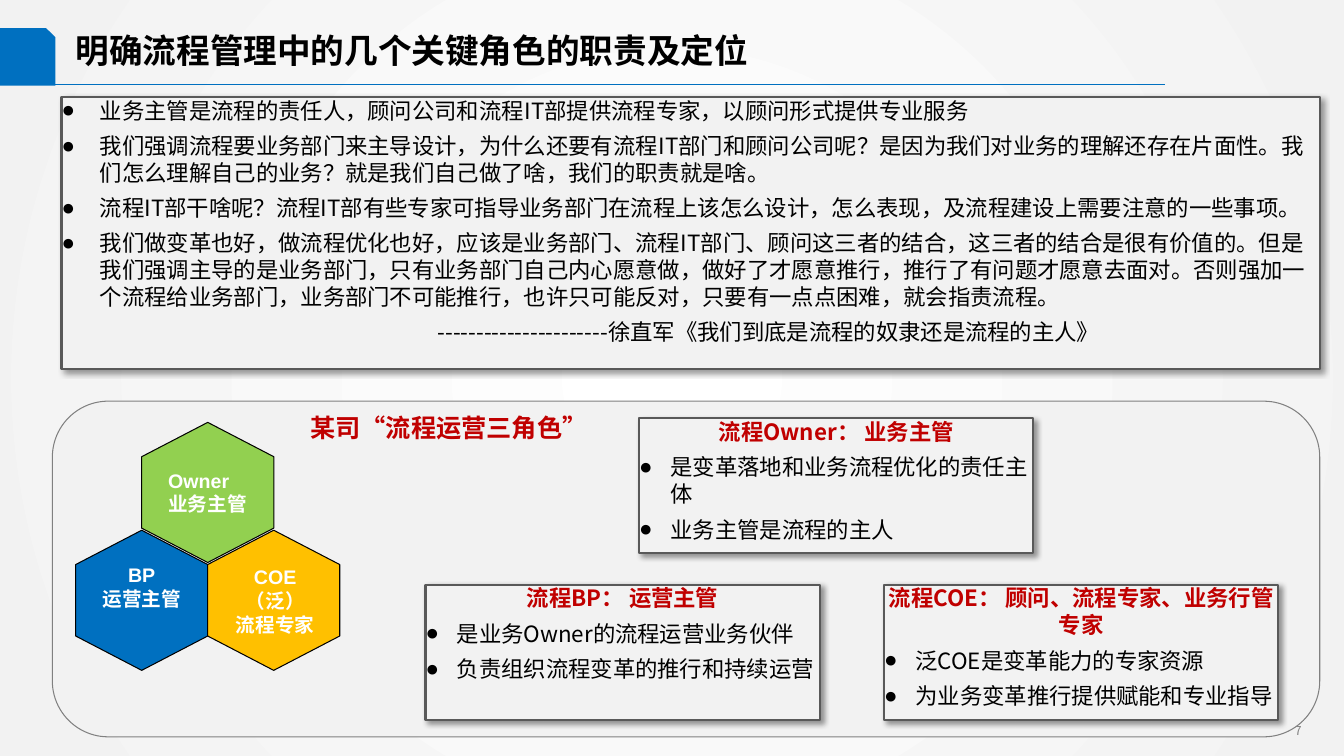
from lxml.etree import SubElement
from pptx import Presentation
from pptx.dml.color import RGBColor as RGB
from pptx.enum.shapes import MSO_CONNECTOR as LINE, MSO_SHAPE as SHAPE
from pptx.enum.text import MSO_ANCHOR as ANCHOR, PP_ALIGN as ALIGN
from pptx.oxml import parse_xml
from pptx.oxml.ns import nsdecls, qn
from pptx.util import Inches, Pt

COLORS = {
    "blue": "0070C0", "green": "92D050", "amber": "FFC000", "red": "C00000",
    "panel": "F2F2F2", "gray": "808080", "frame": "595959",
    "black": "000000", "white": "FFFFFF",
}
SANS, ARIAL = "Noto Sans CJK SC", "Arial"

prs = Presentation()
prs.slide_width, prs.slide_height = Inches(13.33), Inches(7.5)
# All lengths below are percentages of the slide's width and height
COL, ROW = prs.slide_width / 100, prs.slide_height / 100
slide = prs.slides.add_slide(prs.slide_layouts[6])


def add_part(preset, left, top, width, height, fill=None, line=None, weight=0.75):
    """Add a preset shape, or a plain text box when preset is None."""
    box = [int(left * COL), int(top * ROW), int(width * COL), int(height * ROW)]
    if preset is None:
        return slide.shapes.add_textbox(*box)
    part = slide.shapes.add_shape(preset, *box)
    part.shadow.inherit = False
    part.fill.solid()
    part.fill.fore_color.rgb = RGB.from_string(COLORS[fill])
    if line:
        part.line.color.rgb = RGB.from_string(COLORS[line])
        part.line.width = Pt(weight)
    else:
        part.line.fill.background()
    return part


def style(paragraph, size, color, bold=False, font=SANS, align=ALIGN.LEFT):
    """Format a paragraph and its runs, for Latin and Chinese letters alike."""
    paragraph.alignment = align
    for run in paragraph.runs:
        run.font.size, run.font.bold, run.font.name = Pt(size), bold, font
        run.font.color.rgb = RGB.from_string(COLORS[color])
        SubElement(run.font._element, qn("a:ea"), typeface=SANS)


# Background: white centre fading to light gray
background = slide.background.fill
background.gradient()
for stop, shade in zip(background.gradient_stops, ("white", "panel")):
    stop.color.rgb = RGB.from_string(COLORS[shade])
gradient = slide.background._cSld.find(".//" + qn("a:gradFill"))
gradient.replace(gradient.find(qn("a:lin")), parse_xml(
    f'<a:path {nsdecls("a")} path="circle">'
    '<a:fillToRect l="50000" t="50000" r="50000" b="50000"/></a:path>'))

# Page number, corner tab and title rule
page_number = add_part(None, 89.95, 95.07, 7.65, 4.8)
page_number.text_frame.text = "7"
style(page_number.text_frame.paragraphs[0], 8.7, "gray", align=ALIGN.RIGHT)
add_part(SHAPE.SNIP_1_RECTANGLE, 0, 3.73, 4.13, 7.6, "blue")
rule = slide.shapes.add_connector(
    LINE.STRAIGHT, int(3.98 * COL), int(11.2 * ROW), int(86.65 * COL), int(11.2 * ROW))
rule.line.color.rgb = RGB.from_string(COLORS["blue"])
rule.line.width = Pt(0.75)
SubElement(rule._element.spPr, qn("a:effectLst"))

# Rounded panel behind the roles
add_part(SHAPE.ROUNDED_RECTANGLE, 3.9, 53.07, 94.3, 44.4, "panel", "gray")

# Title
title = add_part(None, 5.63, 1.2, 82.07, 10.8).text_frame
title.margin_left = title.margin_right = title.margin_top = title.margin_bottom = 0
title.vertical_anchor, title.word_wrap = ANCHOR.MIDDLE, True
title.text = "明确流程管理中的几个关键角色的职责及定位"
style(title.paragraphs[0], 24, "black", bold=True)

# Honeycomb of the three roles: colour, hexagon position, label box, label
MIDDLE, HALF_STEP, UPPER, LOWER = 10.24, 4.91, 56.4, 70.67
roles = [
    ("green", MIDDLE, UPPER, (11.78, 61.33, 7.43), ALIGN.LEFT, "Owner\n业务主管"),
    ("blue", MIDDLE - HALF_STEP, LOWER, (6.83, 73.87, 7.43), ALIGN.CENTER, "BP\n运营主管"),
    ("amber", MIDDLE + HALF_STEP, LOWER, (15.98, 74.13, 9), ALIGN.CENTER, "COE（泛）\n流程专家"),
]
for color, left, top, *_ in roles:
    hexagon = add_part(SHAPE.HEXAGON, left, top, 10.43, 17.47, color, "black")
    hexagon.rotation = 90
    hexagon.adjustments[0], hexagon.adjustments[1] = 0.26, 1.155
for *_, label_box, align, label in roles:
    role = add_part(None, *label_box, 7.6).text_frame
    role.word_wrap = True
    role.text = label
    for paragraph in role.paragraphs:
        style(paragraph, 14, "white", True, ARIAL, align)

# Framed notes: box, bullet indent in inches, heading, points, source
CARD = (29.33, 17.87)
notes = [
    ((4.58, 12.8, 93.62, 36), 0.38, None, [
        "业务主管是流程的责任人，顾问公司和流程IT部提供流程专家，以顾问形式提供专业服务",
        "我们强调流程要业务部门来主导设计，为什么还要有流程IT部门和顾问公司呢？是因为我们对业务的理解还存在片面性。"
        "我们怎么理解自己的业务？就是我们自己做了啥，我们的职责就是啥。",
        "流程IT部干啥呢？流程IT部有些专家可指导业务部门在流程上该怎么设计，怎么表现，及流程建设上需要注意的一些事项。",
        "我们做变革也好，做流程优化也好，应该是业务部门、流程IT部门、顾问这三者的结合，这三者的结合是很有价值的。"
        "但是我们强调主导的是业务部门，只有业务部门自己内心愿意做，做好了才愿意推行，推行了有问题才愿意去面对。"
        "否则强加一个流程给业务部门，业务部门不可能推行，也许只可能反对，只要有一点点困难，就会指责流程。",
    ], "----------------------徐直军《我们到底是流程的奴隶还是流程的主人》"),
    ((47.56, 55.33, *CARD), 0.31, "流程Owner： 业务主管",
     ["是变革落地和业务流程优化的责任主体", "业务主管是流程的主人"], None),
    ((31.66, 77.33, *CARD), 0.31, "流程BP： 运营主管",
     ["是业务Owner的流程运营业务伙伴", "负责组织流程变革的推行和持续运营"], None),
    ((65.79, 77.33, *CARD), 0.31, "流程COE： 顾问、流程专家、业务行管专家",
     ["泛COE是变革能力的专家资源", "为业务变革推行提供赋能和专业指导"], None),
]
for box, indent, heading, points, source in notes:
    note = add_part(SHAPE.RECTANGLE, *box, "panel", "frame", 1.5)
    effects = note._element.spPr.find(qn("a:effectLst"))
    effects.append(parse_xml(
        f'<a:outerShdw {nsdecls("a")} blurRad="{Pt(4)}" dist="{Pt(3)}" dir="2700000" '
        'algn="tl" rotWithShape="0"><a:srgbClr val="000000"><a:alpha val="40000"/>'
        '</a:srgbClr></a:outerShdw>'))
    frame = note.text_frame
    frame.margin_left = frame.margin_right = frame.margin_top = frame.margin_bottom = 0
    frame.vertical_anchor, frame.word_wrap = ANCHOR.TOP, True
    lines = [line for line in (heading, *points, source) if line]
    frame.text = "\n".join(lines)
    for index, (paragraph, line) in enumerate(zip(frame.paragraphs, lines)):
        if index:
            paragraph.space_before = Pt(6)
        if line == heading:
            style(paragraph, 16, "red", bold=True, align=ALIGN.CENTER)
            continue
        props = paragraph._p.get_or_add_pPr()
        if line == source:
            props.set("marL", str(Inches(3.73)))
        else:
            props.set("marL", str(Inches(indent)))
            props.set("indent", str(-Inches(indent)))
            SubElement(props, qn("a:buFont"), typeface=ARIAL)
            SubElement(props, qn("a:buChar"), char="●")
        style(paragraph, 16, "black")

# Heading of the roles panel
roles_heading = add_part(None, 22.35, 53.87, 22.35, 5.33).text_frame
roles_heading.text = "某司“流程运营三角色”"
style(roles_heading.paragraphs[0], 18, "red", True, ARIAL)

prs.save("out.pptx")
